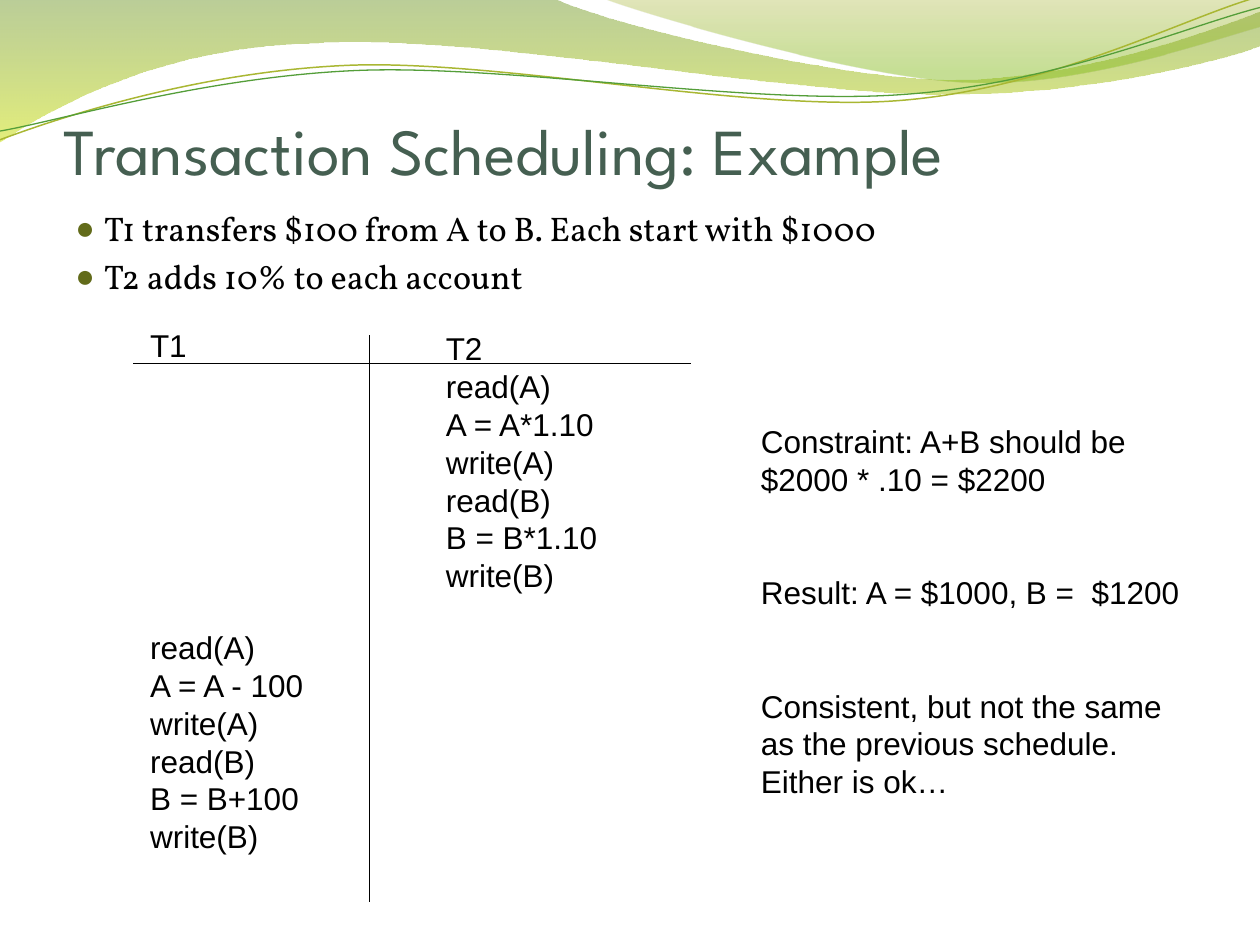
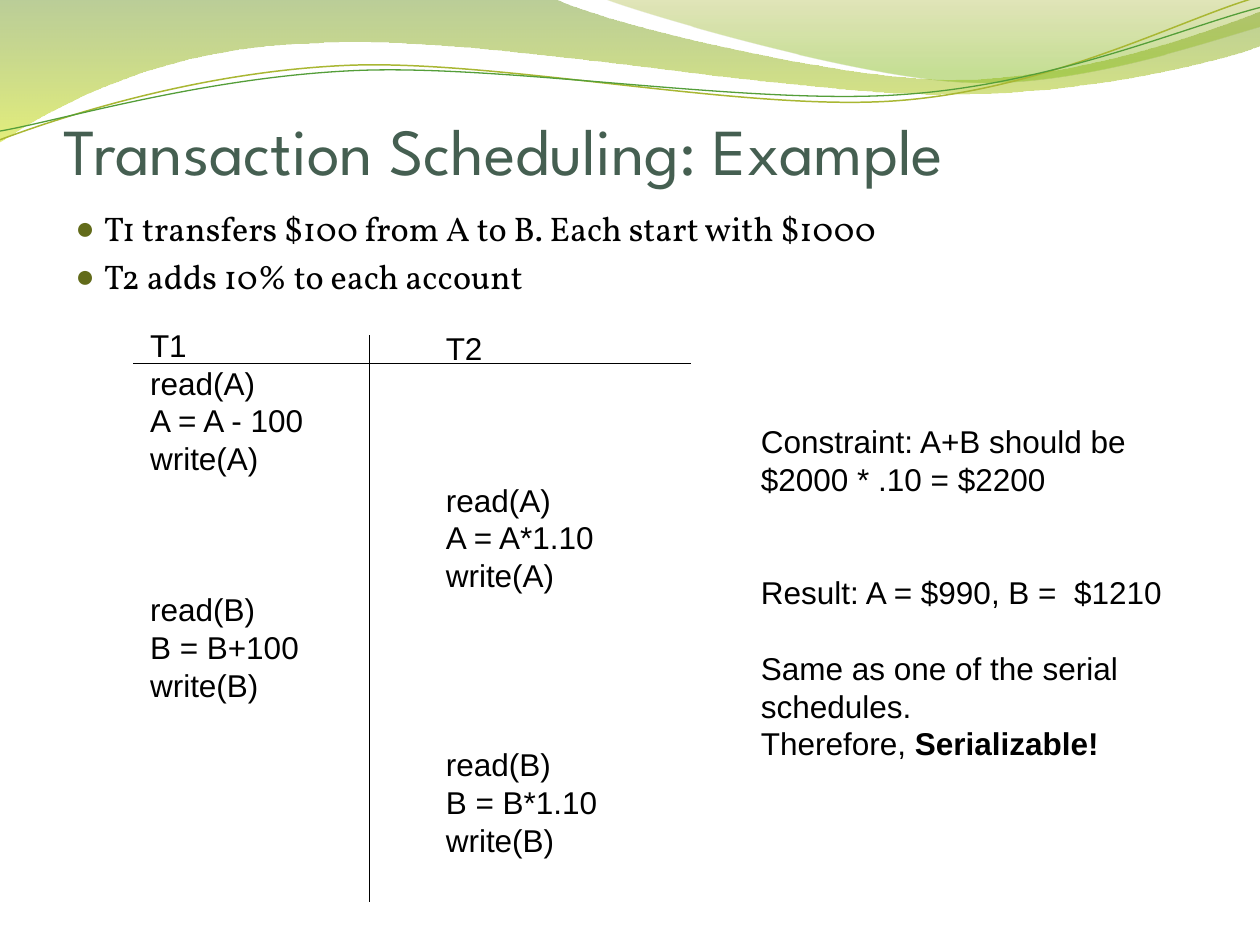
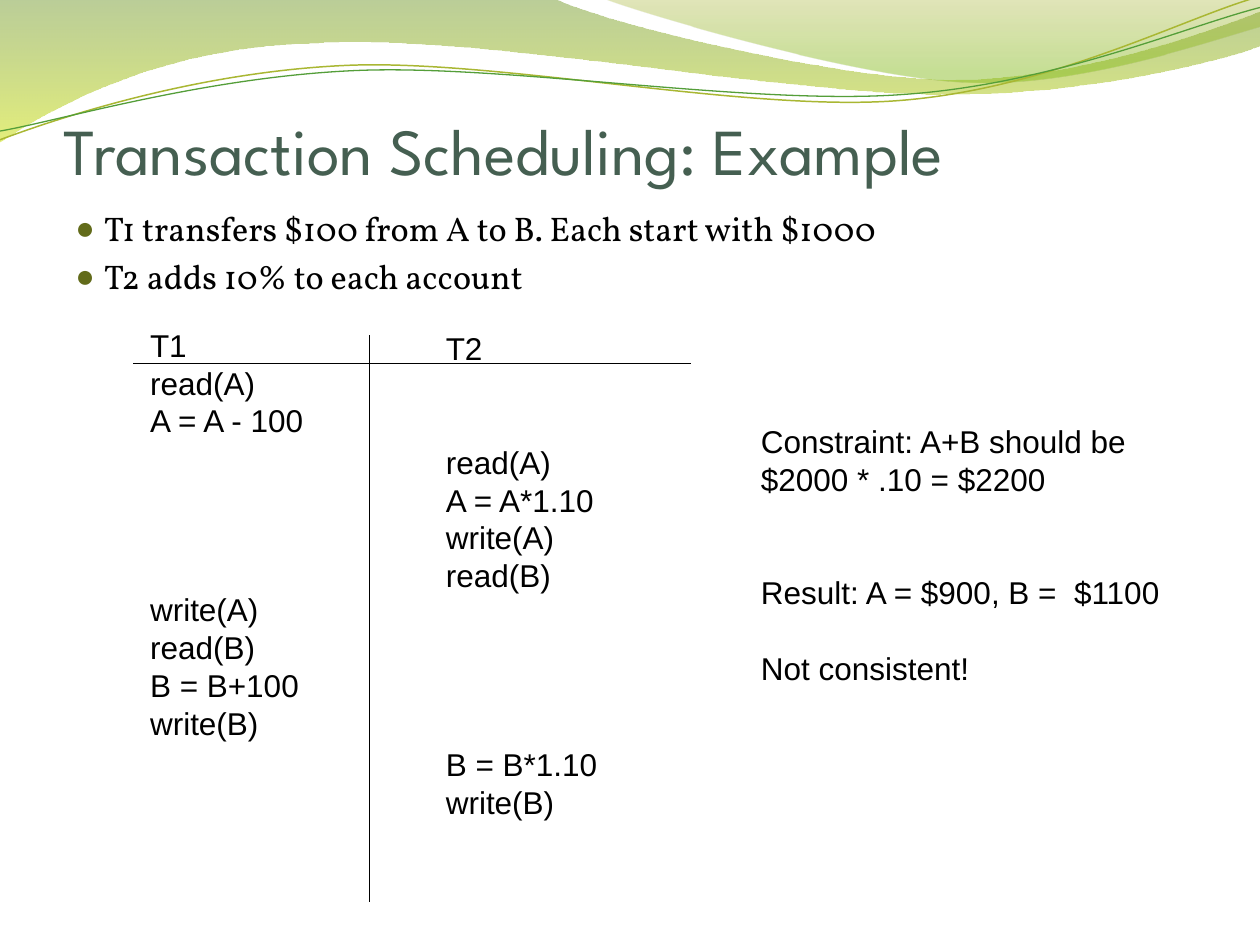
import math

from lxml import etree
from pptx import Presentation
from pptx.dml.color import RGBColor
from pptx.enum.shapes import MSO_CONNECTOR
from pptx.enum.text import MSO_ANCHOR, MSO_AUTO_SIZE, PP_ALIGN
from pptx.oxml.ns import qn
from pptx.util import Pt

STRAIGHT = MSO_CONNECTOR.STRAIGHT
BOTTOM, TOP = MSO_ANCHOR.BOTTOM, MSO_ANCHOR.TOP
LEFT = PP_ALIGN.LEFT
NO_FIT = MSO_AUTO_SIZE.NONE

TITLE_FONT, BODY_FONT, CODE_FONT = "League Spartan", "Vollkorn", "Arial"
TITLE_COLOR, BULLET_COLOR, BLACK = "455F51", "626B1A", "000000"
LINE_PITCH = 21.6
STRAND_TILT = -2.7

TITLE = "Transaction Scheduling: Example"
BULLETS = ["T1 transfers $100 from A to B. Each start with $1000",
           "T2 adds 10% to each account"]
CONSTRAINT = (0, ["Constraint: A+B should be", "$2000 * .10 = $2200"])
T1_STEPS = ["read(A)", "A = A - 100", "write(A)", "read(B)", "B = B+100", "write(B)"]
T2_STEPS = ["read(A)", "A = A*1.10", "write(A)", "read(B)", "B = B*1.10", "write(B)"]

# Each column is a list of (free lines above, lines) groups.
SCHEDULES = [
    {"t1": [(7, T1_STEPS)],
     "t2": [(0, T2_STEPS)],
     "notes": [(2, ["Result: A = $1000, B =  $1200"]),
               (2, ["Consistent, but not the same", "as the previous schedule.",
                    "Either is ok…"])]},
    {"t1": [(0, T1_STEPS[:3]), (3, T1_STEPS[3:])],
     "t2": [(3, T2_STEPS[:3]), (4, T2_STEPS[3:])],
     "notes": [(2, ["Result: A = $990, B =  $1210"]),
               (1, ["Same as one of the serial", "schedules.",
                    ("Therefore, ", "Serializable!")])]},
    {"t1": [(0, T1_STEPS[:2]), (4, T1_STEPS[2:])],
     "t2": [(2, T2_STEPS[:4]), (4, T2_STEPS[4:])],
     "notes": [(2, ["Result: A = $900, B =  $1100"]), (1, ["Not consistent!"])]},
]

# Outlines in points: one pair is a corner, three pairs are a Bézier curve.
BANDS = [
    ([[(0, 0)], [(316.8, -0.7)],
      [(342, 12.2), (477.4, 45.4), (545.8, 45.4)],
      [(613.4, 45.4), (689.8, 18.7), (720, 6.5)],
      [(720.7, 25.9)],
      [(707.8, 31.7), (625.7, 54.7), (537.1, 54)],
      [(447.8, 54), (274.3, 20.2), (185, 24.5)],
      [(92.9, 25.9), (33.1, 59.8), (-0.7, 81.4)]],
     [(0, "69921C", 45), (1, "CCE10F", 55)]),
    ([[(344.9, -0.7)],
      [(366.5, 7.9), (491, 44.6), (553, 46.8)],
      [(615.6, 49.7), (691.9, 23), (720, 15.1)],
      [(720, 0)]],
     [(0, "9BAA1A", 30), (0.8, "81BA16", 45)]),
]
# Each strand also has the centre of its tilted box.
STRANDS = [
    ([[(0, 79.9)],
      [(34.6, 67), (113, 41), (198.7, 37.4)],
      [(284.4, 33.8), (426.2, 64.1), (512.6, 57.6)],
      [(599.8, 51.1), (675.4, 10.8), (717.8, -1.4)]],
     (359.3, 41.4), "A9B733", 0.85),
    ([[(0, 74.9)],
      [(33.8, 69.1), (117.4, 43.9), (203.8, 40.3)],
      [(289.4, 36.7), (429.8, 60.5), (516.2, 54)],
      [(601.9, 48.2), (677.5, 15.1), (720, 4.3)]],
     (359.6, 42.5), "549E39", 0.75),
]


def rgb(color):
    return RGBColor.from_string(color)


def rotate(point, center, degrees):
    """Turn a point clockwise about a centre."""
    angle = math.radians(degrees)
    dx, dy = point[0] - center[0], point[1] - center[1]
    return (center[0] + dx * math.cos(angle) - dy * math.sin(angle),
            center[1] + dx * math.sin(angle) + dy * math.cos(angle))


def add_outline(slide, outline, close):
    """Draw a freeform whose three-point segments are Bézier curves."""
    start, *rest = [(Pt(x), Pt(y)) for segment in outline for x, y in segment]
    builder = slide.shapes.build_freeform(*start)
    builder.add_line_segments(rest, close=close)
    sp = builder.convert_to_shape()
    sp.shadow.inherit = False
    corners = iter(list(sp.element.iter(qn("a:lnTo"))))
    for segment in outline[1:]:
        steps = [next(corners) for _ in segment]
        if len(steps) == 3:
            curve = etree.Element(qn("a:cubicBezTo"))
            steps[0].addprevious(curve)
            for step in steps:
                curve.append(step[0])
                step.getparent().remove(step)
    return sp


def add_band(slide, outline, stops):
    sp = add_outline(slide, outline, True)
    sp.line.fill.background()
    sp.fill.gradient()
    sp.fill.gradient_angle = 270
    for stop, (position, color, _) in zip(sp.fill.gradient_stops, stops):
        stop.position = position
        stop.color.rgb = rgb(color)
    for clr, (_, _, opacity) in zip(sp.element.iter(qn("a:srgbClr")), stops):
        etree.SubElement(clr, qn("a:alpha")).set("val", str(opacity * 1000))
    return sp


def add_strand(slide, outline, center, color, width):
    level = [[rotate(point, center, -STRAND_TILT) for point in segment]
             for segment in outline]
    sp = add_outline(slide, level, False)
    sp.rotation = STRAND_TILT
    sp.fill.background()
    sp.line.color.rgb = rgb(color)
    sp.line.width = Pt(width)
    return sp


def add_waves_to_master(prs, slide):
    """Draw the waves on a slide and move them to the master, behind its text."""
    waves = [add_band(slide, *band) for band in BANDS]
    waves += [add_strand(slide, *strand) for strand in STRANDS]
    tree = prs.slide_master.shapes.element
    for i, sp in enumerate(waves):
        sp.element.nvSpPr.cNvPr.set("id", str(100 + i))
        tree.insert(2 + i, sp.element)


def format_run(r, font, size, color, bold=False):
    r.font.name = font
    r.font.size = Pt(size)
    r.font.color.rgb = rgb(color)
    r.font.bold = bold


def set_title(slide, left, top, width, height):
    sp = slide.shapes.title
    sp.left, sp.top, sp.width, sp.height = Pt(left), Pt(top), Pt(width), Pt(height)
    tf = sp.text_frame
    tf.auto_size = NO_FIT
    tf.vertical_anchor = BOTTOM
    tf.margin_left = tf.margin_right = tf.margin_bottom = 0
    tf.margin_top = Pt(3.6)
    tf.text = TITLE
    p = tf.paragraphs[0]
    p.alignment = LEFT
    format_run(p.runs[0], TITLE_FONT, 37.5, TITLE_COLOR)


def add_text_box(slide, left, top, width, height):
    sp = slide.shapes.add_textbox(Pt(left), Pt(top), Pt(width), Pt(height))
    tf = sp.text_frame
    tf.word_wrap = True
    tf.auto_size = NO_FIT
    tf.vertical_anchor = TOP
    return tf


def set_bullet(p, indent):
    pPr = p._p.get_or_add_pPr()
    pPr.set("marL", str(Pt(indent)))
    pPr.set("indent", str(-Pt(indent)))
    color = etree.SubElement(pPr, qn("a:buClr"))
    etree.SubElement(color, qn("a:srgbClr")).set("val", BULLET_COLOR)
    etree.SubElement(pPr, qn("a:buSzPct")).set("val", "95000")
    etree.SubElement(pPr, qn("a:buFont")).set("typeface", CODE_FONT)
    etree.SubElement(pPr, qn("a:buChar")).set("char", "●")


def add_bullets(slide, left, top, width, height):
    tf = add_text_box(slide, left, top, width, height)
    tf.text = "\n".join(BULLETS)
    for p in tf.paragraphs:
        p.space_before = Pt(3.9)
        set_bullet(p, 16.4)
        format_run(p.runs[0], BODY_FONT, 19.5, BLACK)


def add_column(slide, groups, left, top, width):
    """Stack groups of lines on a fixed pitch, with free lines as spacing."""
    rows = sum(gap + len(lines) for gap, lines in groups)
    tf = add_text_box(slide, left, top, width, rows * LINE_PITCH + 7.2)
    p = None
    for gap, lines in groups:
        for i, line in enumerate(lines):
            p = tf.add_paragraph() if p else tf.paragraphs[0]
            p.line_spacing = Pt(LINE_PITCH)
            p.space_before = Pt(0 if i else gap * LINE_PITCH)
            plain, bold = (line, "") if isinstance(line, str) else line
            p.text = plain
            format_run(p.runs[0], CODE_FONT, 18, BLACK)
            if bold:
                r = p.add_run()
                r.text = bold
                format_run(r, CODE_FONT, 18, BLACK, True)


def add_rule(slide, x1, y1, x2, y2):
    line = slide.shapes.add_connector(STRAIGHT, Pt(x1), Pt(y1), Pt(x2), Pt(y2))
    line.line.color.rgb = rgb(BLACK)
    line.line.width = Pt(0.75)
    etree.SubElement(line.element.spPr, qn("a:effectLst"))


def add_schedule(slide, t1, t2, left, top, width, height):
    """Two transaction columns with a rule under the heads and one between."""
    add_column(slide, [(0, ["T1"])] + t1, left + 2.4, top - 8.9, 103)
    add_column(slide, [(0, ["T2"])] + t2, left + 171.4, top - 6.9, 103)
    add_rule(slide, left, top + 16, left + width, top + 16)
    add_rule(slide, left + 135, top, left + 135, top + height)


def add_schedule_slide(prs, schedule):
    slide = prs.slides.add_slide(prs.slide_layouts.get_by_name("Title Only"))
    set_title(slide, 36, 18, 648, 90)
    add_bullets(slide, 36, 115.2, 648, 345.6)
    add_column(slide, [CONSTRAINT] + schedule["notes"], 427.7, 237.6, 256)
    add_schedule(slide, schedule["t1"], schedule["t2"], 76.3, 191.6, 318.8, 324)
    return slide


def main():
    prs = Presentation()
    prs.slide_width, prs.slide_height = Pt(720), Pt(540)
    slides = [add_schedule_slide(prs, schedule) for schedule in SCHEDULES]
    add_waves_to_master(prs, slides[0])
    prs.save("out.pptx")


if __name__ == "__main__":
    main()
